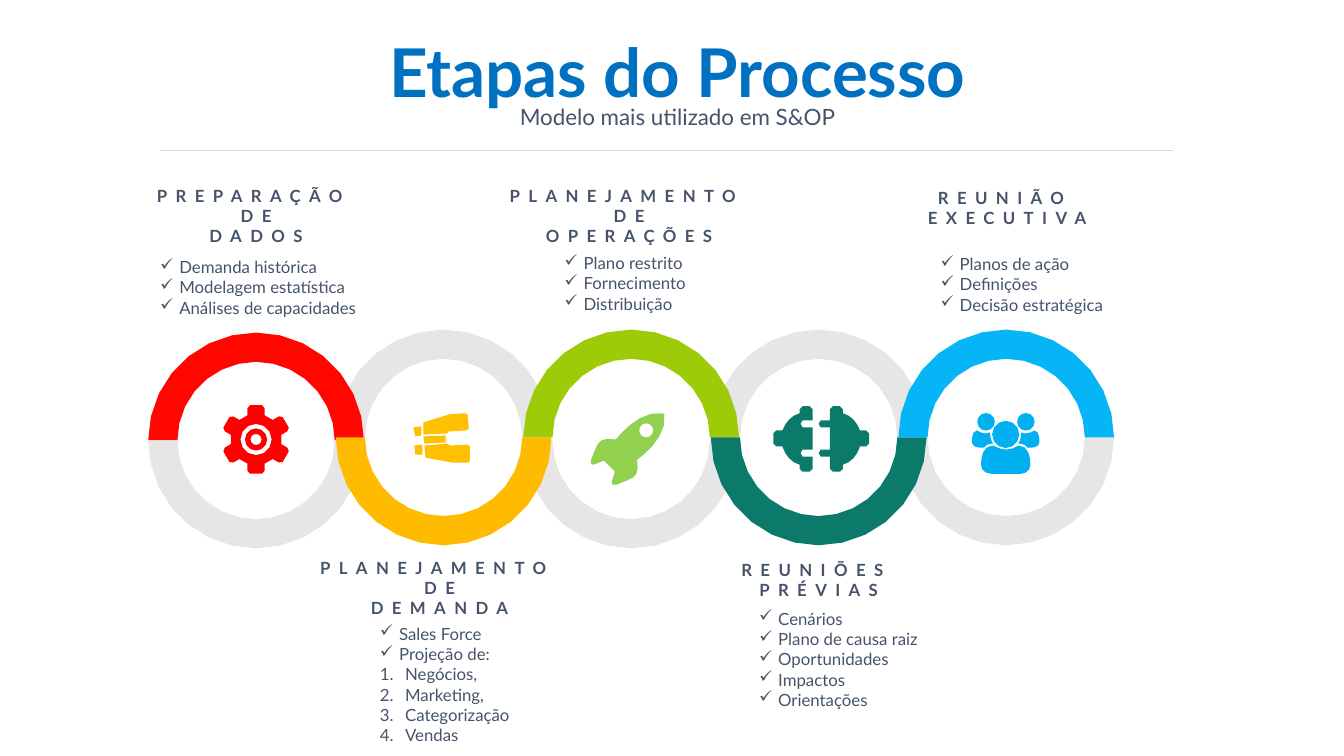
from dataclasses import dataclass
from math import cos, dist, pi, sin

from lxml.etree import SubElement
from pptx import Presentation
from pptx.dml.color import RGBColor as RGB
from pptx.enum.shapes import MSO_CONNECTOR as Link
from pptx.enum.text import MSO_ANCHOR as Anchor, MSO_AUTO_SIZE as Fit, PP_ALIGN as Align
from pptx.oxml.ns import qn
from pptx.util import Inches, Pt


@dataclass(frozen=True)
class Theme:
    font: str = "Lato"
    title: str = "0070C0"
    ink: str = "45546A"
    rule: str = "D9D9D9"
    pale: str = "E6E6E6"
    teal: str = "0C7A6B"
    big: int = 48
    mid: int = 16
    small: int = 12


T = Theme()
RADIUS, HOLE, STEP = 1.07, 0.78, 1.86
START_X, MID_Y, LOW_Y = 2.54, 4.34, 4.37

# Ring halves from back to front: step, middle y, side (-1 top, 1 bottom), colour
RINGS = [(4, MID_Y, 1, T.pale), (3, MID_Y, -1, T.pale), (2, LOW_Y, 1, T.pale),
         (1, MID_Y, -1, T.pale), (0, LOW_Y, -1, "FF0700"), (0, LOW_Y, 1, T.pale),
         (1, MID_Y, 1, "FFBB00"), (2, MID_Y, -1, "9DCB07"), (3, MID_Y, 1, T.teal),
         (4, MID_Y, -1, "06B5F5")]

# Steps: heading lines, heading place, list place and size, ticked lines, numbered lines
STEPS = [
    (["PREPARAÇÃO ", "DE", "DADOS"], (1.04, 1.79), (1.49, 2.5, 2.21, 1.11),
     ["Demanda histórica", "Modelagem estatística", "Análises de capacidades"], []),
    (["PLANEJAMENTO ", "DE", "DEMANDA"], (2.86, 5.48), (3.67, 6.14, 3, 1.51),
     ["Sales Force", "Projeção de:"],
     ["Negócios,", "Marketing,", "Categorização", "Vendas"]),
    (["PLANEJAMENTO ", "DE", "OPERAÇÕES"], (4.74, 1.79), (5.5, 2.46, 2.55, 0.71),
     ["Plano restrito", "Fornecimento", "Distribuição"], []),
    (["REUNIÕES ", "PRÉVIAS"], (6.62, 5.5), (7.43, 5.99, 2.19, 1.51),
     ["Cenários", "Plano de causa raiz", "Oportunidades", "Impactos", "Orientações"], []),
    (["REUNIÃO ", "EXECUTIVA"], (8.49, 1.81), (9.23, 2.47, 2.55, 0.71),
     ["Planos de ação", "Definições", "Decisão estratégica"], []),
]

# Icon outlines: a pair is a corner, six numbers are a curve
HAND = [
    [(4.62, 4.1), (4.64, 4.12), (4.65, 4.25), (4.63, 4.27), (4.45, 4.28), (4.44, 4.3),
     (4.2, 4.31), (4.2, 4.19), (4.46, 4.11)],
    [(4.18, 4.23), (4.18, 4.32), (4.12, 4.33), (4.1, 4.24)],
    [(4.42, 4.32), (4.42, 4.39), (4.21, 4.4), (4.2, 4.33)],
    [(4.19, 4.41), (4.19, 4.51), (4.12, 4.51), (4.11, 4.42)],
    [(4.44, 4.4), (4.46, 4.42), (4.64, 4.41), (4.66, 4.43), (4.66, 4.57), (4.65, 4.59),
     (4.49, 4.59), (4.22, 4.54), (4.21, 4.42)],
]
ROCKET = [(6.32, 4.56), (6.32, 4.56, 6.63, 4.35, 6.59, 4.11), (6.58, 4.1),
          (6.33, 4.06, 6.11, 4.36, 6.11, 4.36), (5.93, 4.34, 5.94, 4.37, 5.86, 4.57),
          (5.84, 4.6, 5.87, 4.62, 5.89, 4.61), (5.99, 4.57), (6.1, 4.68), (6.07, 4.77),
          (6.05, 4.8, 6.07, 4.82, 6.11, 4.81), (6.31, 4.73, 6.34, 4.74, 6.32, 4.56)]
PLUG = [(8.23, 4.06), (8.26, 4.03), (8.33, 4.03), (8.36, 4.06), (8.36, 4.1),
        (8.44, 4.12, 8.5, 4.19, 8.53, 4.27), (8.59, 4.27), (8.62, 4.3), (8.62, 4.4),
        (8.59, 4.43), (8.53, 4.43), (8.5, 4.52, 8.44, 4.59, 8.36, 4.61),
        (8.36, 4.65), (8.33, 4.68), (8.26, 4.68), (8.23, 4.65)]
CHEST = [(9.83, 4.7), (9.77, 4.7, 9.73, 4.66, 9.73, 4.61),
         (9.73, 4.53, 9.75, 4.42, 9.85, 4.42), (9.86, 4.42, 9.91, 4.46, 9.98, 4.46),
         (10.05, 4.46, 10.09, 4.42, 10.1, 4.42), (10.2, 4.42, 10.22, 4.53, 10.22, 4.61),
         (10.22, 4.66, 10.18, 4.7, 10.13, 4.7)]
ARM = [(9.76, 4.44), (9.71, 4.44), (9.68, 4.44, 9.64, 4.42, 9.64, 4.39),
       (9.64, 4.36, 9.64, 4.27, 9.69, 4.27), (9.69, 4.27, 9.73, 4.3, 9.78, 4.3),
       (9.82, 4.29), (9.82, 4.34, 9.83, 4.37, 9.85, 4.4), (9.81, 4.4, 9.78, 4.41, 9.76, 4.44)]


# Geometry
def arc(x, y, r, first=0, last=2 * pi, count=14):
    turns = [first + (last - first) * i / count for i in range(count + 1)]
    return [(x + r * cos(a), y + r * sin(a)) for a in turns]


def disc(x, y, r):
    return arc(x, y, r, count=12)[:-1]


def flip(path, axis):
    return [tuple(2 * axis - v if i % 2 == 0 else v for i, v in enumerate(p)) for p in path]


def smooth(path):
    dots = []
    for part in path:
        if len(part) == 2:
            dots.append(part)
            continue
        ends = [dots[-1], part[:2], part[2:4], part[4:]]
        count = 2 + round(8 * dist(ends[0], ends[3]))
        for i in range(1, count + 1):
            t = i / count
            mix = [(1 - t) ** 3, 3 * t * (1 - t) ** 2, 3 * t * t * (1 - t), t ** 3]
            dots.append(tuple(sum(m * e[k] for m, e in zip(mix, ends)) for k in (0, 1)))
    return dots


def gear(x, y):
    tooth = [(-0.085, -0.24), (-0.085, -0.31), (-0.06, -0.34),
             (0.06, -0.34), (0.085, -0.31), (0.085, -0.24)]
    turns = [i * pi / 3 for i in range(6)]
    edge = [(x + u * cos(a) - v * sin(a), y + u * sin(a) + v * cos(a))
            for a in turns for u, v in tooth]
    return [edge] + [disc(x, y, r) for r in (0.155, 0.11, 0.055)]


def plug():
    def side(tip, base):
        return [p for low, high in ((4.53, 4.46), (4.24, 4.17)) for p in
                [(base, low), (tip + 0.02, low), (tip, (low + high) / 2),
                 (tip + 0.02, high), (base, high)]]
    return [PLUG + side(8.12, 8.23), flip(PLUG, 8.145) + side(7.94, 8.06)]


def people():
    x = 9.975
    heads = [disc(x, 4.31, 0.135), disc(9.78, 4.185, 0.087), disc(10.175, 4.185, 0.087)]
    return heads + [CHEST, ARM, flip(ARM, x)]


# Drawing
def draw(shapes, paths, color):
    pen = None
    for path in paths:
        dots = [(Inches(x), Inches(y)) for x, y in smooth(path)]
        if pen is None:
            pen = shapes.build_freeform(*dots[0], scale=1.0)
        else:
            pen.move_to(*dots[0])
        pen.add_line_segments(dots[1:], close=True)
    shape = pen.convert_to_shape()
    shape.shadow.inherit = False
    shape.fill.solid()
    shape.fill.fore_color.rgb = RGB.from_string(color)
    shape.line.fill.background()


def ring(shapes, step, y, side, color):
    x = START_X + STEP * step
    edge = arc(x, y, RADIUS, 0, side * pi) + arc(x, y, HOLE, side * pi, 0)
    draw(shapes, [edge], color)


def write(para, text, size, color=T.ink, bold=False):
    run = para.add_run()
    run.text = text
    font = run.font
    font.name, font.size, font.bold = T.font, Pt(size), bold
    font.color.rgb = RGB.from_string(color)
    return run


def box(shapes, x, y, w, h):
    frame = shapes.add_textbox(*map(Inches, (x, y, w, h))).text_frame
    frame.word_wrap = True
    return frame


def lines(frame, texts):
    for i, text in enumerate(texts):
        yield (frame.add_paragraph() if i else frame.paragraphs[0]), text


def step_text(shapes, head, spot, area, ticks, items):
    group = shapes.add_group_shape().shapes
    frame = box(group, *area)
    frame.auto_size = Fit.SHAPE_TO_FIT_TEXT
    for i, (para, text) in enumerate(lines(frame, ticks + items)):
        ticked = i < len(ticks)
        props = para._p.get_or_add_pPr()
        dent = Inches(0.19 if ticked else 0.25)
        props.set("marL", str(dent))
        props.set("indent", str(-dent))
        if ticked:
            SubElement(props, qn("a:buChar")).set("char", "✓")
        else:
            SubElement(props, qn("a:buAutoNum")).set("type", "arabicPeriod")
        write(para, text, T.small)
    frame = box(group, *spot, 3, 0.1 + 0.2 * len(head))
    frame.auto_size = Fit.SHAPE_TO_FIT_TEXT
    for para, text in lines(frame, head):
        para.alignment = Align.CENTER
        write(para, text, T.small, bold=True)._r.get_or_add_rPr().set("spc", "600")


def header(shapes):
    title = shapes.title
    title.left, title.top, title.width, title.height = map(Inches, (0.51, 0.44, 12.42, 0.62))
    frame = title.text_frame
    frame.auto_size, frame.vertical_anchor = Fit.NONE, Anchor.MIDDLE
    para = frame.paragraphs[0]
    para.alignment, para.line_spacing = Align.CENTER, 0.9
    write(para, "Etapas do Processo", T.big, T.title, True)
    para = box(shapes, 0.51, 1, 12.42, 0.48).paragraphs[0]
    para.alignment, para.line_spacing, para.space_before = Align.CENTER, 0.9, Pt(10)
    write(para, "Modelo mais utilizado em S&OP", T.mid)
    rule = shapes.add_connector(Link.STRAIGHT, *map(Inches, (1.59, 1.49, 11.63, 1.49)))
    rule.line.color.rgb = RGB.from_string(T.rule)
    rule.line.width = Pt(0.5)
    SubElement(rule._element.spPr, qn("a:effectLst"))


def main():
    deck = Presentation()
    deck.slide_width, deck.slide_height = Inches(13.33), Inches(7.5)
    shapes = deck.slides.add_slide(deck.slide_layouts[5]).shapes
    for half in RINGS:
        ring(shapes, *half)
    header(shapes)
    for step in STEPS:
        step_text(shapes, *step)
    # Icons inside the rings
    draw(shapes, gear(START_X, 4.36), "FF0000")
    draw(shapes, HAND, "FFC000")
    draw(shapes, plug(), T.teal)
    draw(shapes, people(), "00B0F0")
    draw(shapes, [ROCKET, disc(6.41, 4.27, 0.07)], "92D050")
    deck.save("out.pptx")


if __name__ == "__main__":
    main()
